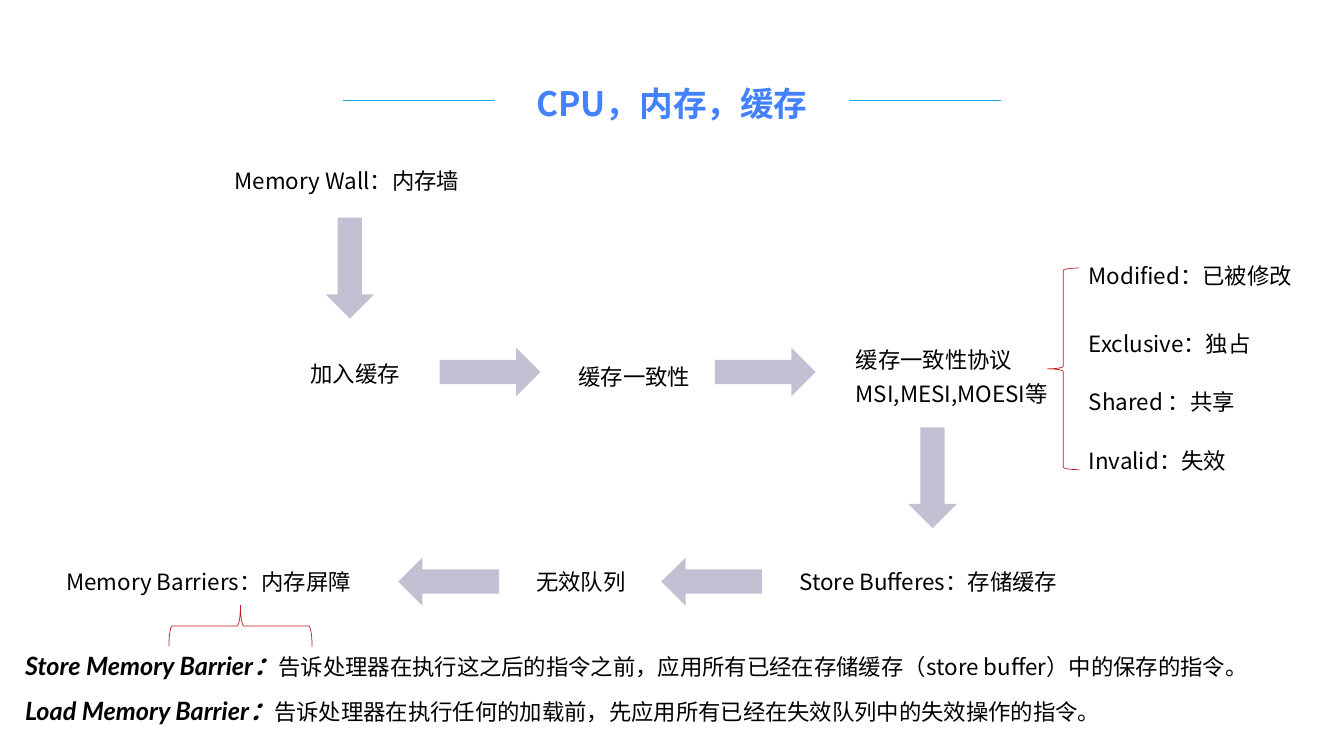
from lxml import etree
from pptx import Presentation, util as u
from pptx.dml.color import RGBColor
from pptx.enum import shapes, text
from pptx.oxml.ns import qn

BLACK = RGBColor(0x00, 0x00, 0x00)
TITLE_BLUE = RGBColor(0x43, 0x81, 0xFF)
RULE_BLUE = RGBColor(0x1C, 0xAD, 0xE4)
ARROW_GREY = RGBColor(0xC2, 0xC1, 0xD4)
BRACE_RED = RGBColor(0xC0, 0x1C, 0x23)
SANS, LATIN = "Noto Sans CJK SC", "Lato"
CELL = u.Inches(0.1)  # the page is a grid of square cells

deck = Presentation()
deck.slide_width, deck.slide_height = u.Inches(13.33), u.Inches(7.5)
page = deck.slides.add_slide(deck.slide_layouts[6])


def cells(*counts):
    return [round(count * CELL) for count in counts]


def add_text(left, top, width, lines, size=16, color=BLACK, bold=False, align=None):
    """Add a wrapping box; each line is a list of (words, is_term) spans."""
    box = page.shapes.add_textbox(*cells(left, top, width, 4.1))
    frame = box.text_frame
    frame.word_wrap = True
    frame.auto_size = text.MSO_AUTO_SIZE.SHAPE_TO_FIT_TEXT
    for index, line in enumerate(lines):
        para = frame.add_paragraph() if index else frame.paragraphs[0]
        para.line_spacing = 1.25
        para.alignment = align
        para.font.name, para.font.size = SANS, u.Pt(size)
        para.font.bold = bold
        para.font.color.rgb = color
        for words, is_term in line:
            span = para.add_run()
            span.text = words
            if is_term:
                span.font.name, span.font.size = LATIN, u.Pt(18)
                span.font.bold = span.font.italic = True
            etree.SubElement(span._r.get_or_add_rPr(), qn("a:ea"), typeface=SANS)


# Title between two rules
add_text(52, 6.7, 29.3, [[("CPU，内存，缓存", False)]], 24, TITLE_BLUE, True,
         text.PP_ALIGN.CENTER)
for start in (34, 84.2):
    rule = page.shapes.add_connector(
        shapes.MSO_CONNECTOR.STRAIGHT, *cells(start, 9.95, start + 15.1, 9.95))
    rule.line.color.rgb = RULE_BLUE
    rule.line.width = u.Pt(0.5)
    etree.SubElement(rule._element.spPr, qn("a:effectLst"))
    rule._element.remove(rule._element.find(qn("p:style")))

# Steps of the flow and the four cache states
labels = [
    (22.3, 15.4, 24.5, "Memory Wall：内存墙"),
    (29.8, 34.55, 20.8, "加入缓存"),
    (56.4, 34.9, 13.2, "缓存一致性"),
    (83.9, 33.2, 31.7, "缓存一致性协议\nMSI,MESI,MOESI等"),
    (78.3, 55.2, 28.4, "Store Bufferes：存储缓存"),
    (52.2, 55.2, 11.8, "无效队列"),
    (5.6, 55.2, 31.1, "Memory Barriers：内存屏障"),
    (107, 24.85, 23, "Modified：已被修改"),
    (107, 31.55, 18.3, "Exclusive：独占"),
    (107, 37.35, 16.9, "Shared ：共享"),
    (107, 43.2, 15.9, "Invalid：失效"),
]
for left, top, width, words in labels:
    add_text(left, top, width, [[(line, False)] for line in words.split("\n")])

# Block arrows and braces: kind, centre, size, turn
DOWN, BRACE = shapes.MSO_SHAPE.DOWN_ARROW, shapes.MSO_SHAPE.LEFT_BRACE
arrows = [(34.7, 26.6, 0), (48.6, 36.9, 270), (75.9, 36.9, 270),
          (92.5, 47.4, 0), (70.6, 57.7, 90), (44.5, 57.7, 90)]
marks = [(DOWN, x, y, 4.8, 10, turn) for x, y, turn in arrows]
marks += [(BRACE, 105.45, 36.6, 3.1, 20, 0), (BRACE, 23.85, 62.1, 4.1, 14.2, 90)]
for kind, x, y, width, height, turn in marks:
    mark = page.shapes.add_shape(
        kind, *cells(x - width / 2, y - height / 2, width, height))
    mark.rotation = turn
    mark.shadow.inherit = False
    if kind == DOWN:
        mark.fill.solid()
        mark.fill.fore_color.rgb = ARROW_GREY
        mark.line.fill.background()
    else:
        mark.fill.background()
        mark.line.color.rgb = BRACE_RED
        mark.line.width = u.Pt(0.5)

# The two kinds of barrier
barriers = [
    ("Store Memory Barrier：",
     "告诉处理器在执行这之后的指令之前，应用所有已经在存储缓存（store buffer）中的保存的指令。"),
    ("Load Memory Barrier：",
     "告诉处理器在执行任何的加载前，先应用所有已经在失效队列中的失效操作的指令。"),
]
for row, (term, meaning) in enumerate(barriers):
    add_text(1.5, 63.3 + 4.4 * row, 123.1, [[(term, True), (meaning, False)]])

deck.save("out.pptx")
